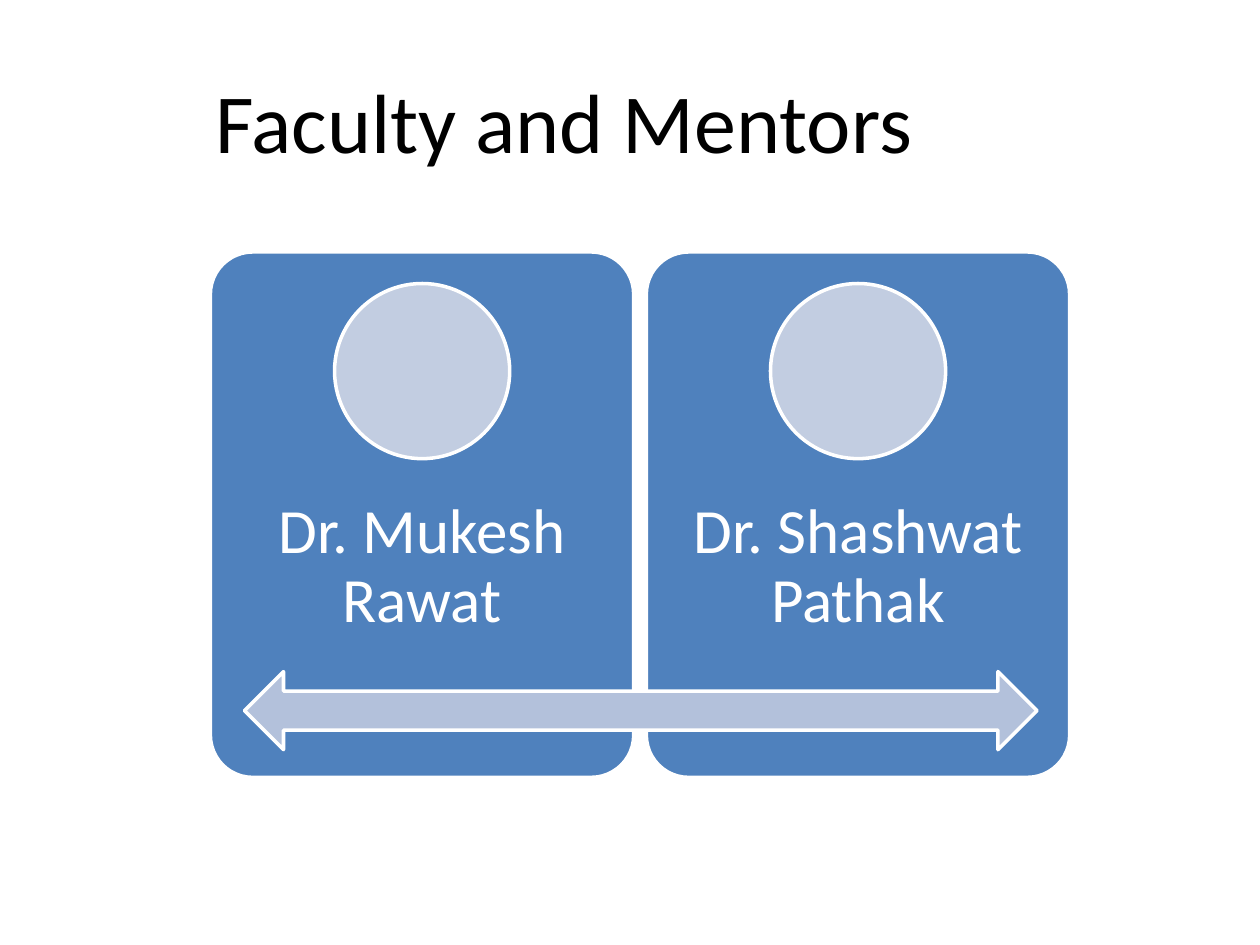
from dataclasses import dataclass

from pptx import Presentation
from pptx.dml.color import RGBColor
from pptx.enum.shapes import MSO_SHAPE
from pptx.enum.text import MSO_ANCHOR, PP_ALIGN
from pptx.util import Inches, Pt

ROUND = MSO_SHAPE.ROUNDED_RECTANGLE
OVAL = MSO_SHAPE.OVAL
ARROW = MSO_SHAPE.LEFT_RIGHT_ARROW
CENTER = PP_ALIGN.CENTER
MIDDLE = MSO_ANCHOR.MIDDLE

FONT = "Calibri"
WHITE = "FFFFFF"
BLACK = "000000"
BLUE = "4F81BD"
PALE = "C2CDE1"
MIST = "B3C1DB"

LEFT, TOP = 1.67, 2
WIDE, HIGH = 3.36, 4.17
STEP = 3.46
DISC = 1.39


@dataclass
class Box:
    left: float
    top: float
    width: float
    height: float

    def place(self) -> tuple:
        return tuple(Inches(n) for n in (self.left, self.top, self.width, self.height))


def color(code: str) -> RGBColor:
    return RGBColor.from_string(code)


def add_form(slide, kind, box: Box, fill: str):
    form = slide.shapes.add_shape(kind, *box.place())
    form.shadow.inherit = False
    form.fill.solid()
    form.fill.fore_color.rgb = color(fill)
    form.line.color.rgb = color(WHITE)
    form.line.width = Pt(2)
    return form


def add_text(slide, box: Box, text: str, size: int, ink: str):
    frame = slide.shapes.add_textbox(*box.place()).text_frame
    line = frame.paragraphs[0]
    line.alignment = CENTER
    run = line.add_run()
    run.text = text
    run.font.name = FONT
    run.font.size = Pt(size)
    run.font.color.rgb = color(ink)
    return frame


def add_card(slide, left: float, name: str) -> None:
    card = add_form(slide, ROUND, Box(left, TOP, WIDE, HIGH), BLUE)
    card.adjustments[0] = 0.1
    frame = add_text(slide, Box(left, 3.67, WIDE, 1.67), name, 36, WHITE)
    frame.word_wrap = True
    frame.vertical_anchor = MIDDLE
    pad = Inches(0.28)
    frame.margin_left = frame.margin_right = pad
    frame.margin_top = frame.margin_bottom = pad
    line = frame.paragraphs[0]
    line.line_spacing = 0.9
    line.space_after = Pt(12.6)
    inset = (WIDE - DISC) / 2
    add_form(slide, OVAL, Box(left + inset, 2.25, DISC, DISC), PALE)


def main() -> None:
    deck = Presentation()
    deck.slide_width = Inches(10)
    deck.slide_height = Inches(7.5)
    slide = deck.slides.add_slide(deck.slide_layouts[6])

    title = add_text(slide, Box(1.58, 0.5, 5.79, 0.91), "Faculty and Mentors", 48, BLACK)
    title.word_wrap = False

    for spot, name in enumerate(("Dr. Mukesh Rawat", "Dr. Shashwat Pathak")):
        add_card(slide, LEFT + spot * STEP, name)

    add_form(slide, ARROW, Box(1.94, 5.33, 6.29, 0.62), MIST)
    deck.save("out.pptx")


if __name__ == "__main__":
    main()
